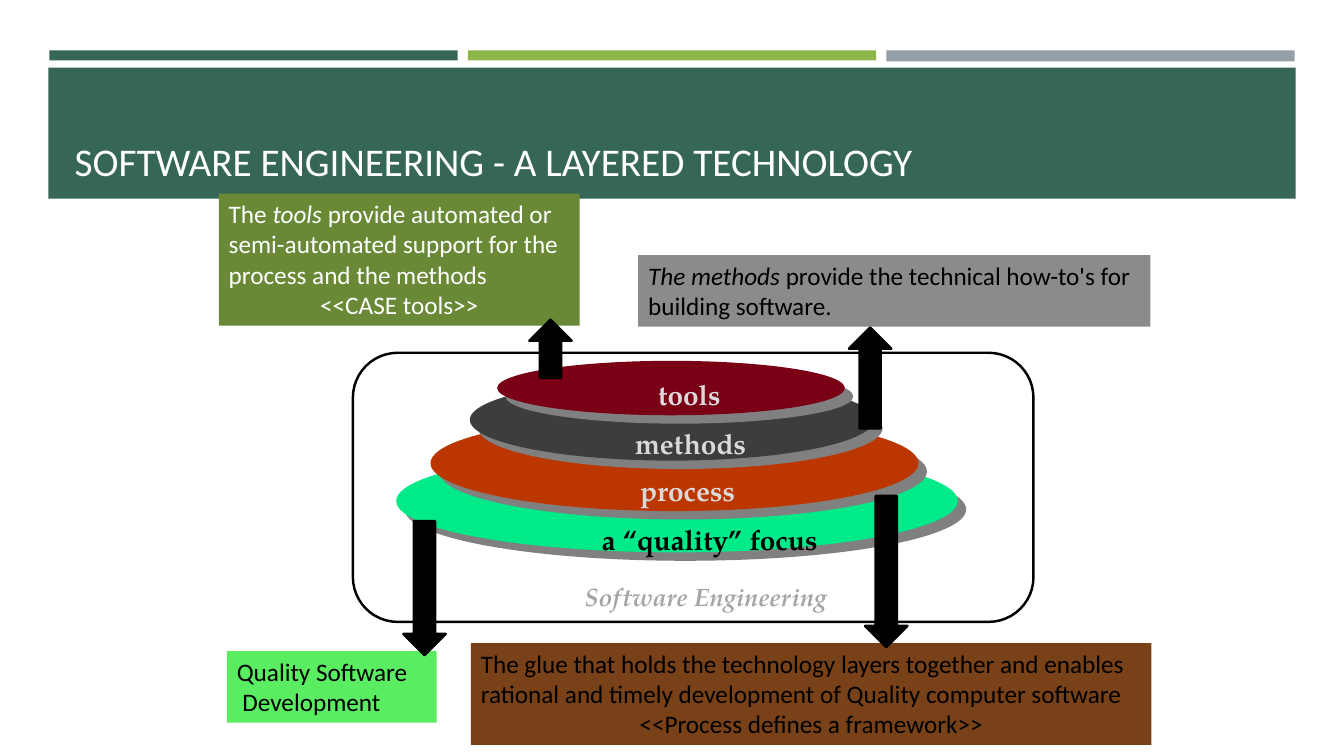
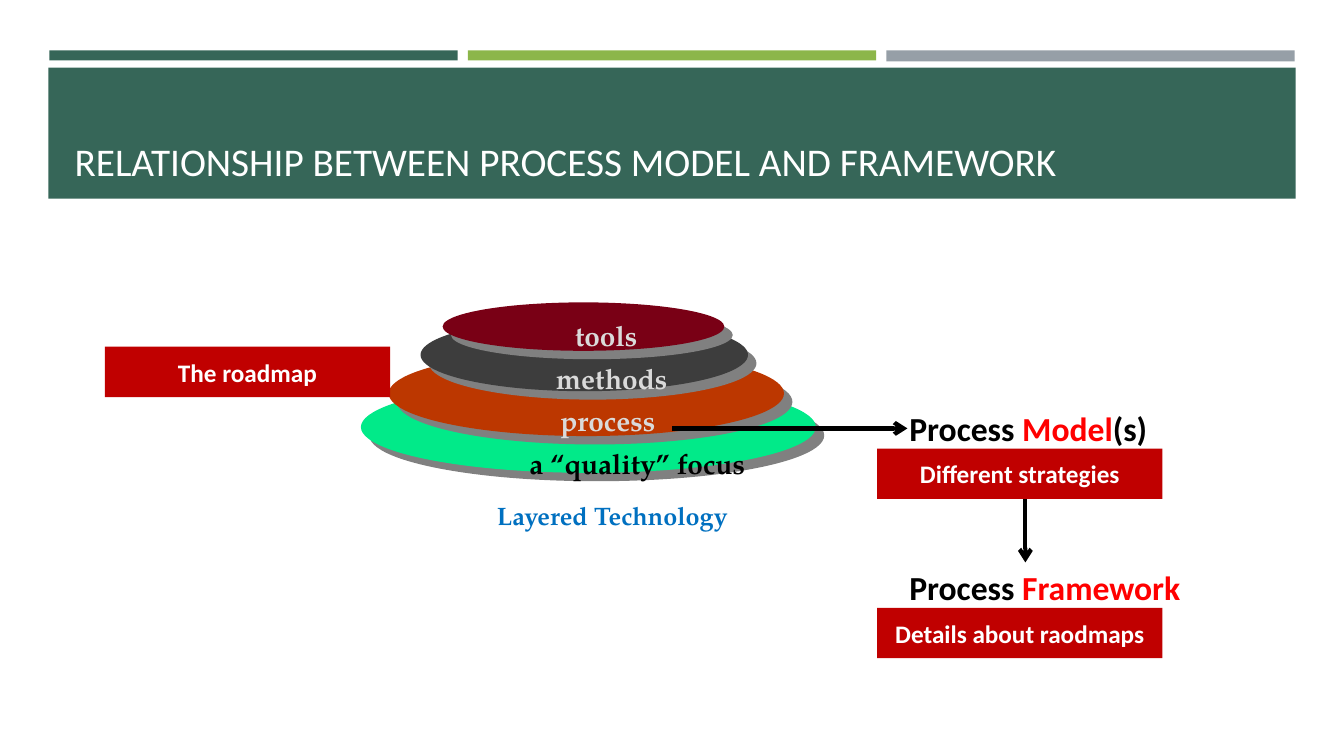
import pptx
import pptx.util
import pptx.dml.color
import pptx.enum.shapes
import pptx.enum.text
import pptx.oxml.ns
from lxml import etree

Inches = pptx.util.Inches
Pt = pptx.util.Pt
RGBColor = pptx.dml.color.RGBColor
SHAPE = pptx.enum.shapes.MSO_SHAPE
ANCHOR = pptx.enum.text.MSO_ANCHOR
AUTO = pptx.enum.text.MSO_AUTO_SIZE
LEFT = pptx.enum.text.PP_ALIGN.LEFT
CENTER = pptx.enum.text.PP_ALIGN.CENTER
qn = pptx.oxml.ns.qn

TEAL = RGBColor(0x36, 0x66, 0x58)
LIME = RGBColor(0x8C, 0xB6, 0x4A)
STEEL = RGBColor(0x96, 0x9F, 0xA7)
WHITE = RGBColor(0xFF, 0xFF, 0xFF)
BLACK = RGBColor(0x00, 0x00, 0x00)
PALE = RGBColor(0xDA, 0xDA, 0xDA)
SILVER = RGBColor(0xA5, 0xA5, 0xA5)
GRAY = RGBColor(0x8B, 0x8B, 0x8B)
OLIVE = RGBColor(0x69, 0x89, 0x37)
BROWN = RGBColor(0x79, 0x41, 0x17)
GREEN = RGBColor(0x5A, 0xEC, 0x61)
MINT = RGBColor(0x01, 0xEA, 0x89)
RUST = RGBColor(0xBC, 0x37, 0x00)
CHARCOAL = RGBColor(0x3D, 0x3D, 0x3D)
MAROON = RGBColor(0x79, 0x00, 0x15)
BLUE = RGBColor(0x00, 0x70, 0xC0)
RED = RGBColor(0xFF, 0x00, 0x00)
CRIMSON = RGBColor(0xC0, 0x00, 0x00)

SANS = "Calibri"
SERIF = "TeX Gyre Pagella"

BANDS = [
    (0.49, 0.5, 4.05, 0.1, TEAL),
    (4.64, 0.5, 4.05, 0.1, LIME),
    (8.79, 0.5, 4.05, 0.11, STEEL),
    (0.48, 0.67, 12.37, 1.3, TEAL),
]
LAYERS = [
    (0, 0.88, 5.57, 1.02, MINT),
    (0.34, 0.54, 4.84, 0.95, RUST),
    (0.73, 0.18, 4.01, 0.81, CHARCOAL),
    (1, 0, 3.45, 0.54, MAROON),
]
LAYER_LABELS = [
    (1.94, 1.55, 2.36, "a “quality” focus", BLACK),
    (2.32, 1.07, 1.15, "process", PALE),
    (2.27, 0.6, 1.31, "methods", PALE),
    (2.5, 0.12, 0.82, "tools", PALE),
]


def add_text(s, box, paragraphs, size=18, font=SANS, fill=None, bold=False, wrap=True, spacing=None):
    sp = s.shapes.add_textbox(*map(Inches, box))
    if fill is not None:
        sp.fill.solid()
        sp.fill.fore_color.rgb = fill
    tf = sp.text_frame
    tf.word_wrap = wrap
    tf.auto_size = AUTO.SHAPE_TO_FIT_TEXT
    for i, (align, runs) in enumerate(paragraphs):
        p = tf.add_paragraph() if i else tf.paragraphs[0]
        p.alignment = align
        p.line_spacing = spacing
        for text, color, italic in runs:
            r = p.add_run()
            r.text = text
            r.font.name = font
            r.font.size = Pt(size)
            r.font.bold = bold
            r.font.italic = italic
            r.font.color.rgb = color
    return sp


def add_stack(s, left, top, sx, sy):
    for x, y, w, h, color in LAYERS:
        box = left + x * sx, top + y * sy, w * sx, h * sy
        sp = s.shapes.add_shape(SHAPE.OVAL, *map(Inches, box))
        sp.fill.solid()
        sp.fill.fore_color.rgb = color
        sp.line.fill.background()
        sp.shadow.inherit = False
        effects = sp.element.spPr.find(qn("a:effectLst"))
        shadow = etree.SubElement(effects, qn("a:outerShdw"), dist=str(Pt(8.5)), dir="2700000",
                                  algn="ctr", rotWithShape="0")
        etree.SubElement(shadow, qn("a:srgbClr"), val="808080")
    for x, y, w, text, color in LAYER_LABELS:
        add_text(s, (left + x * sx, top + y * sy, w, 0.43), [(LEFT, [(text, color, False)])],
                 size=20, font=SERIF, bold=True, wrap=False)


prs = pptx.Presentation()
prs.slide_width = Inches(13.33)
prs.slide_height = Inches(7.5)
layout = prs.slide_layouts[5]

slides = []
for title in ["SOFTWARE ENGINEERING - A LAYERED TECHNOLOGY",
              "RELATIONSHIP BETWEEN PROCESS MODEL AND FRAMEWORK"]:
    s = prs.slides.add_slide(layout)
    sp = s.shapes.title
    sp.left, sp.top, sp.width, sp.height = map(Inches, (0.64, 0.77, 12.06, 1.11))
    tf = sp.text_frame
    tf.word_wrap = True
    tf.auto_size = AUTO.NONE
    tf.vertical_anchor = ANCHOR.BOTTOM
    p = tf.paragraphs[0]
    p.alignment = LEFT
    r = p.add_run()
    r.text = title
    r.font.name = SANS
    r.font.size = Pt(28)
    r.font.color.rgb = WHITE
    slides.append(s)

layered, relationship = slides

for i, (x, y, w, h, color) in enumerate(BANDS):
    sp = layered.shapes.add_shape(SHAPE.RECTANGLE, *map(Inches, (x, y, w, h)))
    sp.fill.solid()
    sp.fill.fore_color.rgb = color
    sp.line.fill.background()
    sp.shadow.inherit = False
    sp.element.nvSpPr.cNvPr.id = 20 + i
    layout.shapes.element.append(sp.element)

s = layered
add_text(s, (5.7, 5.75, 2.61, 0.37), [(LEFT, [("Software Engineering", SILVER, True)])],
         font=SERIF, bold=True, wrap=False, spacing=0.9)
add_stack(s, 3.93, 3.58, 1, 1)

notes = [
    ((4.67, 6.38, 6.75, 1.01), BROWN, [
        (LEFT, [("The glue that holds the technology layers together and enables rational and "
                 "timely development of Quality computer software", BLACK, False)]),
        (CENTER, [("<<Process defines a framework>>", BLACK, False)])]),
    ((6.33, 2.53, 5.08, 0.71), GRAY, [
        (LEFT, [("The methods ", BLACK, True),
                ("provide the technical how-to's for building software.", BLACK, False)])]),
    ((2.17, 1.92, 3.58, 1.31), OLIVE, [
        (LEFT, [("The ", WHITE, False), ("tools ", WHITE, True),
                ("provide automated or", WHITE, False)]),
        (LEFT, [("semi-automated support for the process and the methods", WHITE, False)]),
        (CENTER, [("<<CASE tools>>", WHITE, False)])]),
    ((2.25, 6.46, 2.08, 0.71), GREEN, [
        (LEFT, [("Quality Software", BLACK, False)]),
        (LEFT, [(" Development", BLACK, False)])]),
]
for box, fill, paragraphs in notes:
    add_text(s, box, paragraphs, fill=fill)

outlines = [
    (SHAPE.ROUNDED_RECTANGLE, 3.5, 3.5, 6.75, 2.67),
    (SHAPE.DOWN_ARROW, 4, 5.17, 0.42, 1.33),
    (SHAPE.DOWN_ARROW, 8.58, 4.92, 0.42, 1.5),
    (SHAPE.UP_ARROW, 8.42, 3.25, 0.42, 1),
    (SHAPE.UP_ARROW, 5.25, 3.17, 0.42, 0.58),
]
for kind, *box in outlines:
    sp = s.shapes.add_shape(kind, *map(Inches, box))
    if kind == SHAPE.ROUNDED_RECTANGLE:
        sp.fill.background()
    else:
        sp.fill.solid()
        sp.fill.fore_color.rgb = BLACK
    sp.line.color.rgb = BLACK
    sp.line.width = Pt(1.75)
    sp.shadow.inherit = False

s = relationship
add_text(s, (4.83, 4.95, 2.52, 0.37), [(LEFT, [("Layered Technology", BLUE, False)])],
         font=SERIF, bold=True, wrap=False, spacing=0.9)
add_stack(s, 3.58, 3, 0.81, 0.89)

for ends in [(6.67, 4.25, 9, 4.25), (10.17, 4.58, 10.17, 5.58)]:
    cn = s.shapes.add_connector(pptx.enum.shapes.MSO_CONNECTOR.STRAIGHT, *map(Inches, ends))
    cn.line.color.rgb = BLACK
    cn.line.width = Pt(3)
    etree.SubElement(cn.line._get_or_add_ln(), qn("a:tailEnd"), type="arrow")
    etree.SubElement(cn.element.spPr, qn("a:effectLst"))

headings = [
    ((8.92, 4, 2.58, 0.5), [("Process ", BLACK, False), ("Model", RED, False), ("(s)", BLACK, False)]),
    ((8.92, 5.58, 3, 0.5), [("Process ", BLACK, False), ("Framework", RED, False)]),
]
for box, runs in headings:
    add_text(s, box, [(LEFT, runs)], size=24, bold=True)

tags = [
    (1.04, 3.44, "The roadmap"),
    (8.7, 4.45, "Different strategies"),
    (8.7, 6.03, "Details about raodmaps"),
]
for x, y, text in tags:
    sp = add_text(s, (x, y, 2.83, 0.5), [(CENTER, [(text, WHITE, False)])], fill=CRIMSON, bold=True)
    sp.text_frame.auto_size = AUTO.NONE
    sp.text_frame.vertical_anchor = ANCHOR.MIDDLE

prs.save("out.pptx")
